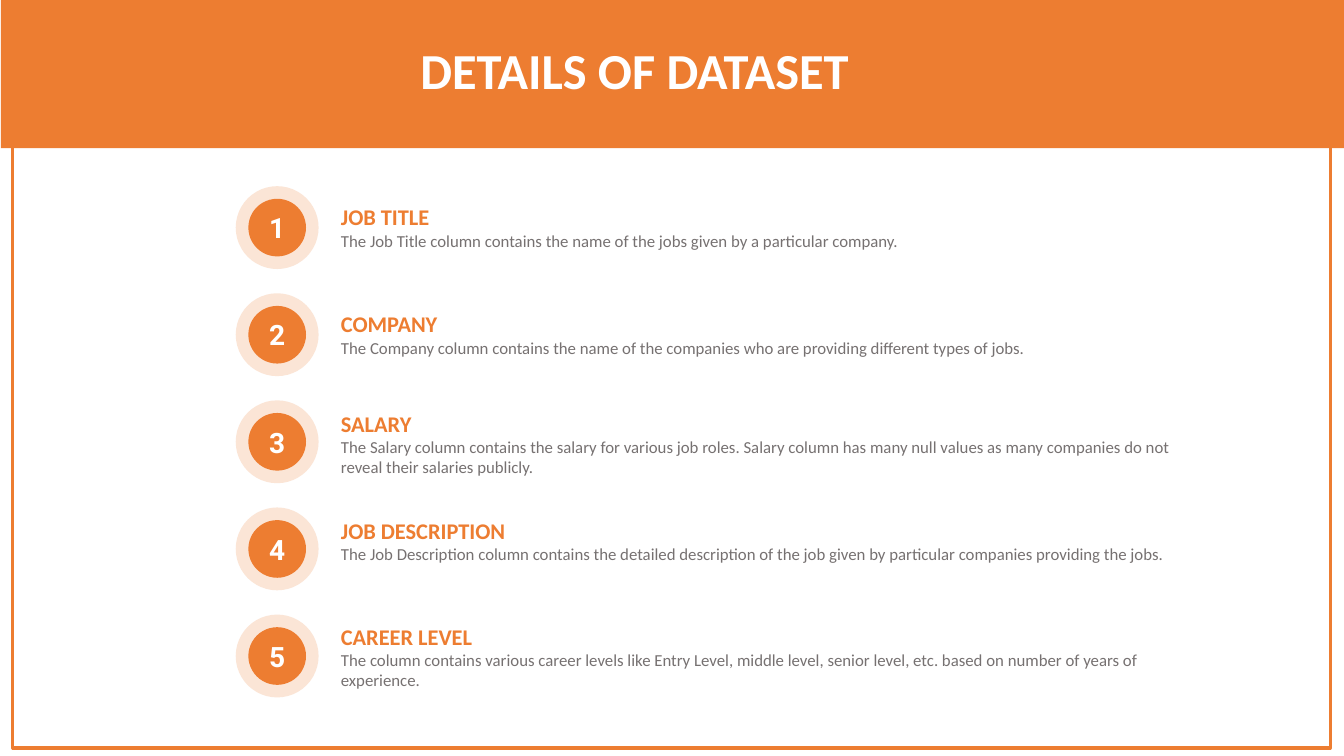
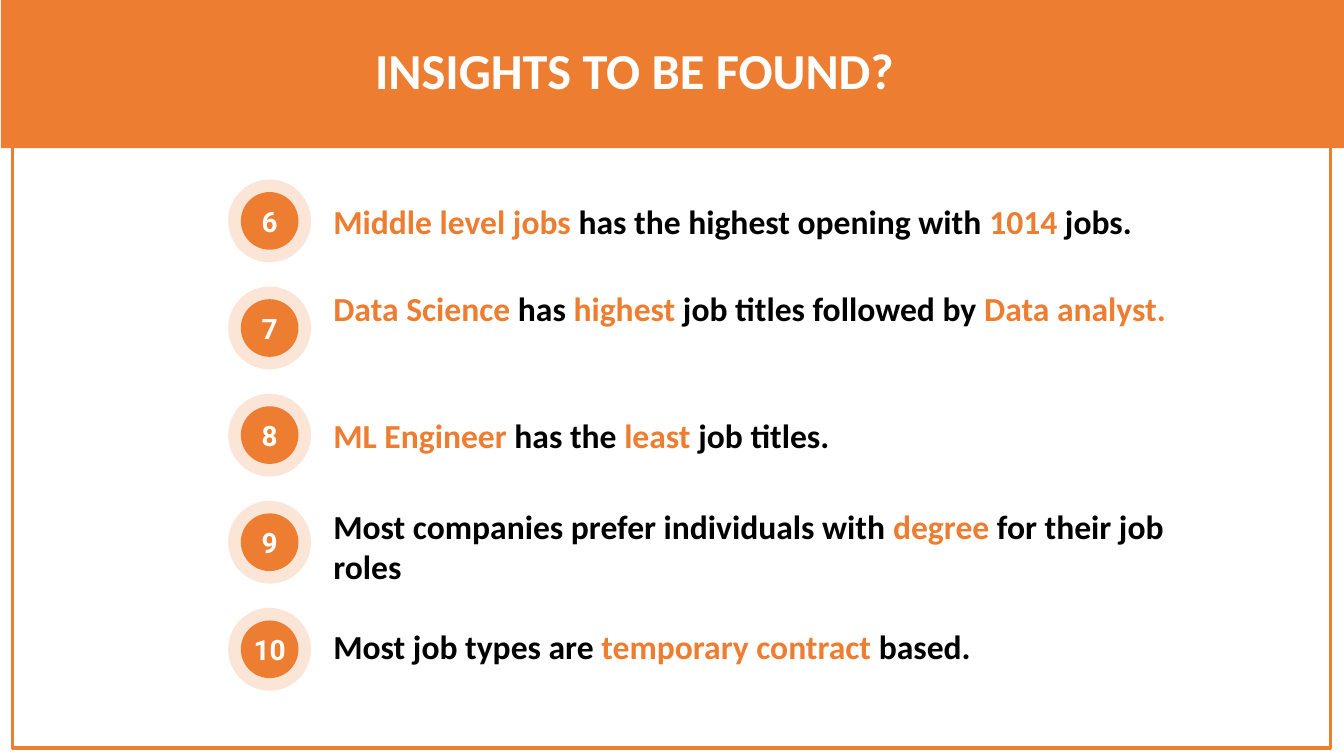
from itertools import count

from pptx import Presentation
from pptx.dml.color import RGBColor
from pptx.enum import shapes, text
from pptx.util import Pt

ORANGE = RGBColor(0xED, 0x7D, 0x31)
PEACH = RGBColor(0xFB, 0xE5, 0xD6)
GREY = RGBColor(0x76, 0x71, 0x71)
BLACK = RGBColor(0, 0, 0)
WHITE = RGBColor(255, 255, 255)

ROW_PITCH = 76.5
RING_SIZE, DISC_SIZE = 59.2, 41.2
TEXT_OFFSET, TEXT_WIDTH = 38.4, 625.7

columns = [
    (141.8, "JOB TITLE", "The Job Title column contains the name of the jobs given by a particular company."),
    (218.2, "COMPANY", "The Company column contains the name of the companies who are providing "
     "different types of jobs."),
    (289.4, "SALARY", "The Salary column contains the salary for various job roles. Salary column has "
     "many null values as many companies do not reveal their salaries publicly."),
    (365.8, "JOB DESCRIPTION", "The Job Description column contains the detailed description of the job "
     "given by particular companies providing the jobs."),
    (441.4, "CAREER LEVEL", "The column contains various career levels like Entry Level, middle level, "
     "senior level, etc. based on number of years of experience."),
]
details = [
    (top, [(16, True, [(name, ORANGE)]), (12, False, [(meaning, GREY)])])
    for top, name, meaning in columns
]

findings = [
    (139.7, [("Middle level jobs ", ORANGE), ("has the highest opening with ", BLACK),
             ("1014", ORANGE), (" jobs.", BLACK)]),
    (202.3, [("Data Science ", ORANGE), ("has ", BLACK), ("highest", ORANGE),
             (" job titles followed by ", BLACK), ("Data analyst.", ORANGE)]),
    (293, [("ML Engineer ", ORANGE), ("has the ", BLACK), ("least", ORANGE), (" job titles.", BLACK)]),
    (357.8, [("Most companies prefer individuals with ", BLACK), ("degree", ORANGE),
             (" for their job roles", BLACK)]),
    (443.5, [("Most job types are ", BLACK), ("temporary contract ", ORANGE), ("based.", BLACK)]),
]
insights = [(top, [(24, True, pieces)]) for top, pieces in findings]

pages = [
    ("DETAILS OF DATASET", 198, 162.6, details),
    ("INSIGHTS TO BE FOUND?", 192.6, 157.8, insights),
]


def add_plain(slide, kind, left, top, width, height, fill):
    plain = slide.shapes.add_shape(kind, Pt(left), Pt(top), Pt(width), Pt(height))
    plain.shadow.inherit = False
    plain.fill.solid()
    plain.fill.fore_color.rgb = fill
    plain.line.fill.background()
    return plain


def add_label(slide, left, top, width, height, paragraphs, align=text.PP_ALIGN.LEFT):
    frame = slide.shapes.add_textbox(Pt(left), Pt(top), Pt(width), Pt(height)).text_frame
    frame.word_wrap = True
    for position, (size, bold, pieces) in enumerate(paragraphs):
        paragraph = frame.add_paragraph() if position else frame.paragraphs[0]
        paragraph.alignment = align
        paragraph.font.name = "Calibri"
        paragraph.font.size = Pt(size)
        paragraph.font.bold = bold
        for words, color in pieces:
            run = paragraph.add_run()
            run.text = words
            run.font.color.rgb = color


deck = Presentation()
deck.slide_width, deck.slide_height = Pt(960), Pt(540)
numbers = count(1)

for title, center_x, first_y, rows in pages:
    slide = deck.slides.add_slide(deck.slide_layouts[6])

    border = add_plain(slide, shapes.MSO_SHAPE.RECTANGLE, 9.2, 6.5, 941, 527.8, WHITE)
    border.line.color.rgb = ORANGE
    border.line.width = Pt(2.25)
    add_plain(slide, shapes.MSO_SHAPE.RECTANGLE, 0.7, 0, 959.3, 105.8, ORANGE)
    add_label(slide, 203.8, 24.5, 499, 51, [(36, True, [(title, WHITE)])], text.PP_ALIGN.CENTER)

    for row, (top, paragraphs) in enumerate(rows):
        center_y = first_y + row * ROW_PITCH
        for size, fill in ((RING_SIZE, PEACH), (DISC_SIZE, ORANGE)):
            disc = add_plain(slide, shapes.MSO_SHAPE.OVAL, center_x - size / 2,
                             center_y - size / 2, size, size, fill)

        badge = disc.text_frame
        badge.margin_left = badge.margin_right = badge.margin_top = badge.margin_bottom = 0
        badge.word_wrap = False
        badge.vertical_anchor = text.MSO_ANCHOR.MIDDLE
        number = badge.paragraphs[0]
        number.text = str(next(numbers))
        number.alignment = text.PP_ALIGN.CENTER
        number.font.name = "Roboto"
        number.font.size = Pt(20)
        number.font.bold = True
        number.font.color.rgb = WHITE

        add_label(slide, center_x + TEXT_OFFSET, top, TEXT_WIDTH, 41, paragraphs)

deck.save("out.pptx")
